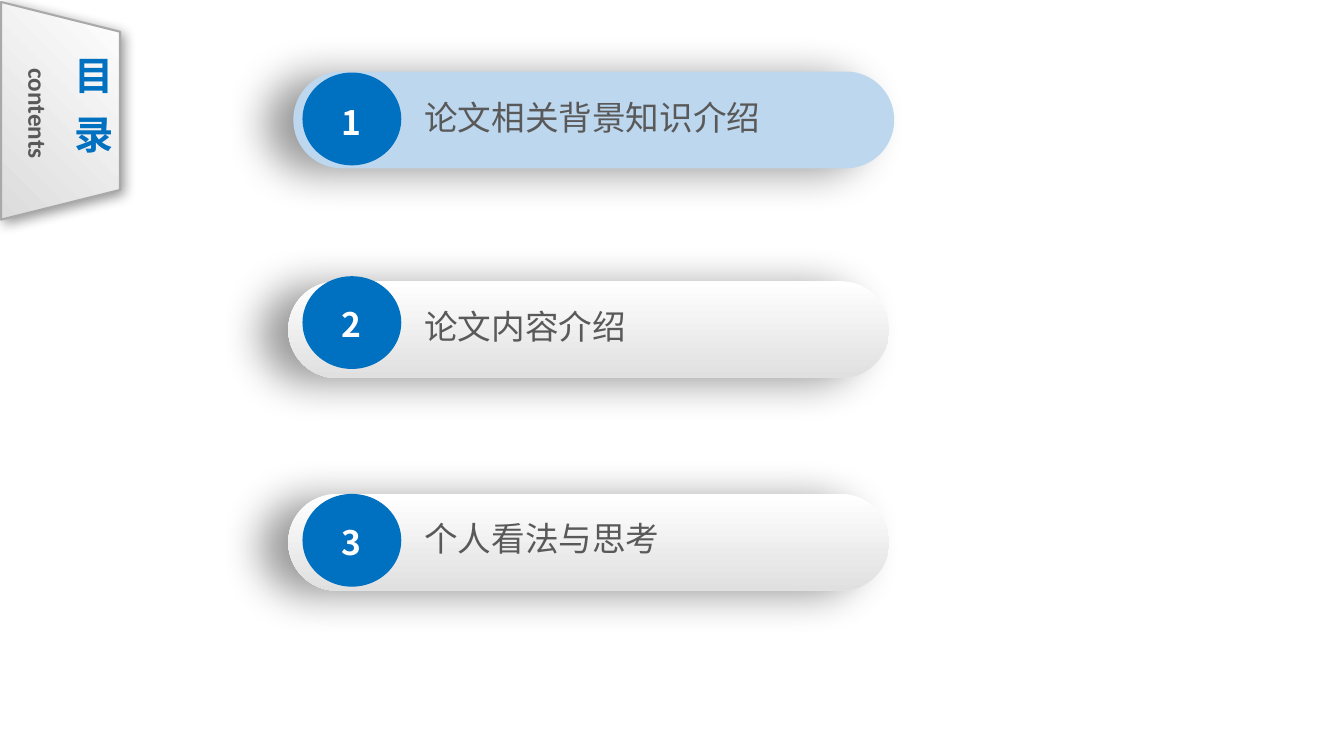
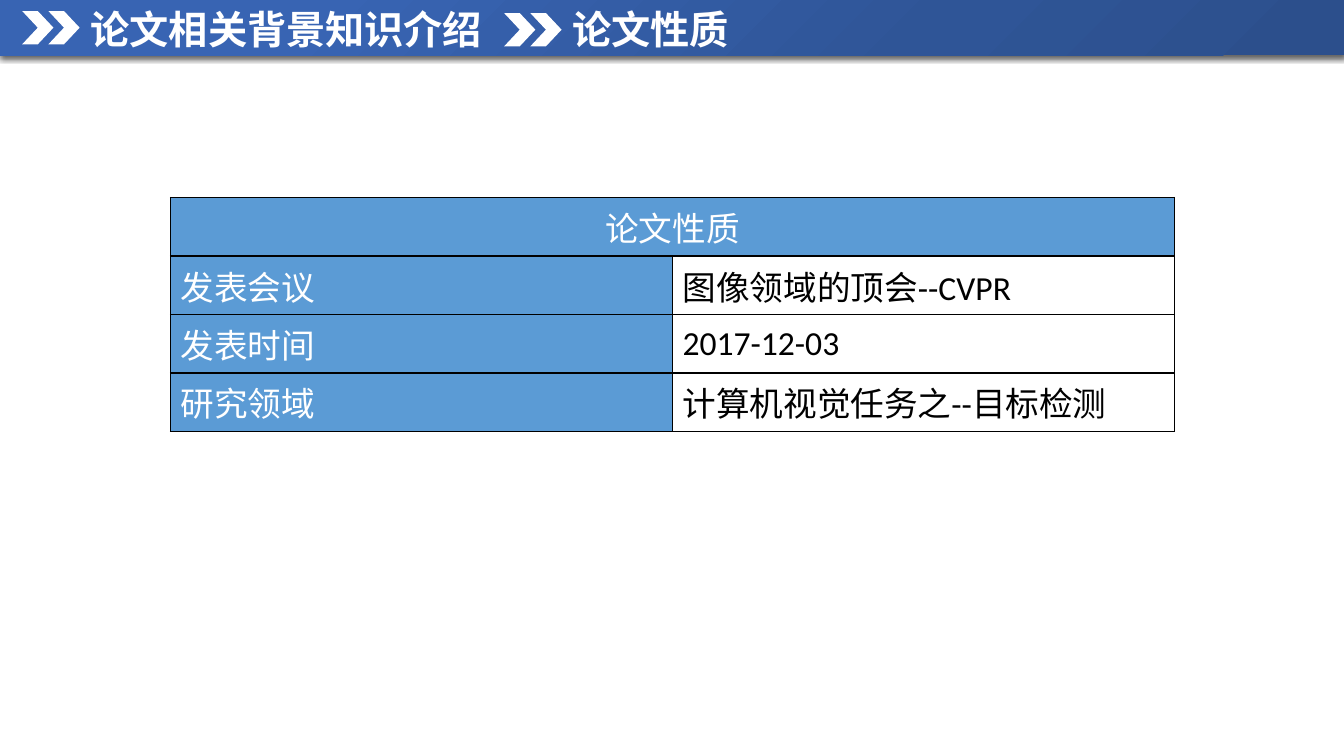
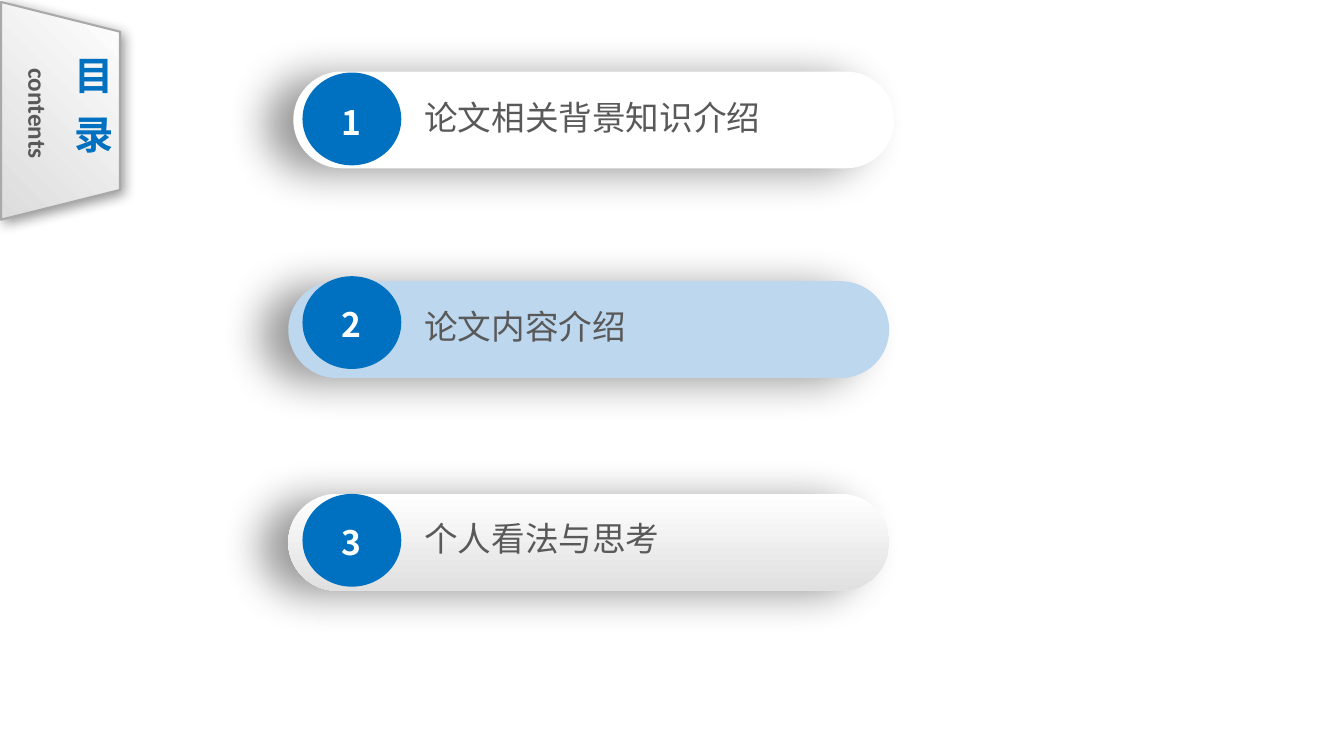
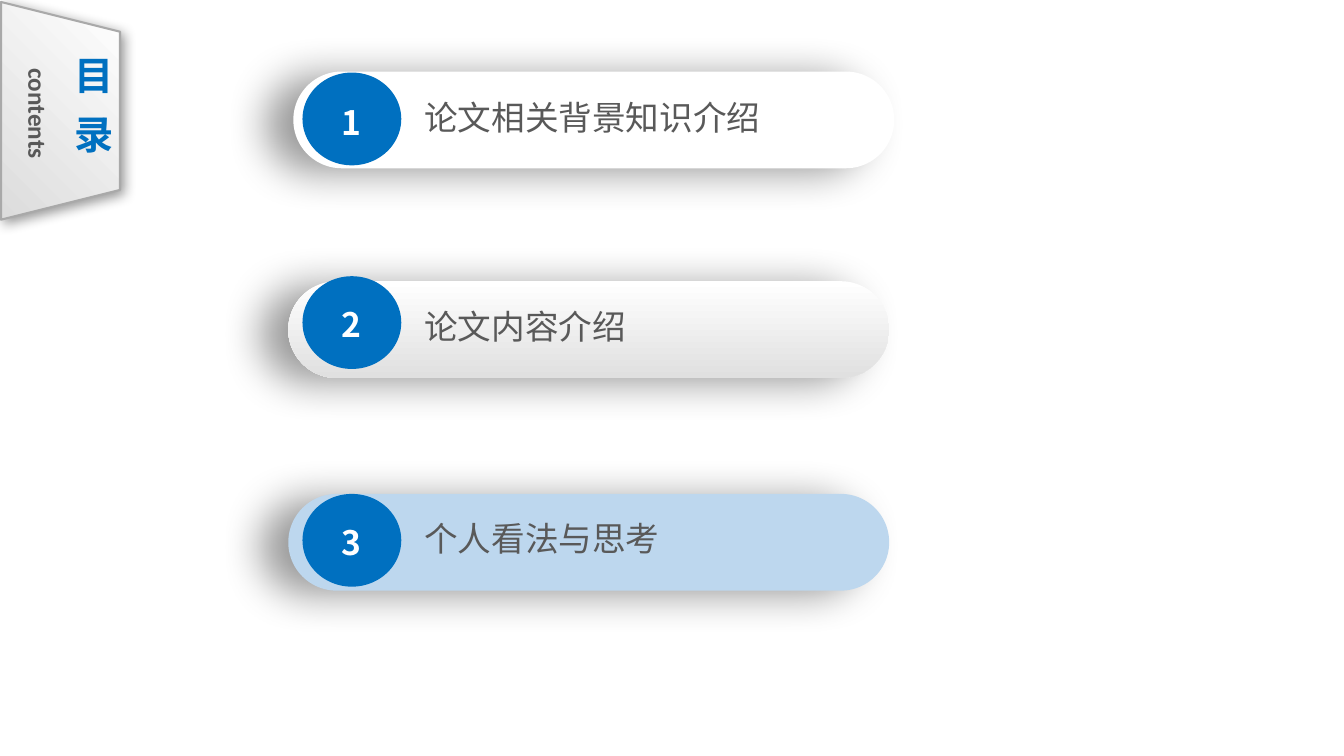
from dataclasses import dataclass

from lxml import etree
from pptx import Presentation
from pptx.dml.color import RGBColor
from pptx.enum.shapes import MSO_SHAPE
from pptx.enum.text import MSO_ANCHOR, MSO_AUTO_SIZE, PP_ALIGN
from pptx.oxml.ns import qn
from pptx.util import Inches, Pt

RECTANGLE, OVAL = MSO_SHAPE.RECTANGLE, MSO_SHAPE.OVAL
ROUNDED, TRAPEZOID = MSO_SHAPE.ROUNDED_RECTANGLE, MSO_SHAPE.TRAPEZOID
CHEVRON = MSO_SHAPE.CHEVRON
LEFT, CENTER = PP_ALIGN.LEFT, PP_ALIGN.CENTER
TOP, MIDDLE = MSO_ANCHOR.TOP, MSO_ANCHOR.MIDDLE
FIT_SHAPE = MSO_AUTO_SIZE.SHAPE_TO_FIT_TEXT

SLIDE_WIDTH, SLIDE_HEIGHT = 13.33, 7.5

TOPICS = [
    {"label": "论文相关背景知识介绍", "bar": (2.91, 0.71), "disc": 0.72,
     "number": 0.96, "text": 0.91, "idle": "white"},
    {"label": "论文内容介绍", "bar": (2.86, 2.79), "disc": 2.74,
     "number": 2.97, "text": 2.99, "idle": "gradient"},
    {"label": "个人看法与思考", "bar": (2.86, 4.9), "disc": 4.9,
     "number": 5.13, "text": 5.09, "idle": "gradient"},
]
BREADCRUMBS = [("论文相关背景知识介绍", 0.22, 0.11), ("论文性质", 5, 0.13)]
PAPER_TITLE = "论文性质"
PAPER_FACTS = [
    ("发表会议", "图像领域的顶会--CVPR"),
    ("发表时间", "2017-12-03"),
    ("研究领域", "计算机视觉任务之--目标检测"),
]


@dataclass(frozen=True)
class Theme:
    white: str = "FFFFFF"
    black: str = "000000"
    gray: str = "595959"
    edge: str = "A9A9A9"
    blue: str = "0070C0"
    active: str = "BDD7EE"
    table: str = "5B9BD5"
    tab_stops: tuple = ((0, "FFFFFF"), (100, "DCDCDC"))
    bar_stops: tuple = ((0, "FFFFFF"), (100, "E0E0E0"))
    band_stops: tuple = ((23, "3864B3"), (69, "2F5597"), (97, "2C4F8C"))
    tab_shadow: tuple = (40, 9, 3, 45)
    bar_shadow: tuple = (40, 30, 20, 171)
    band_shadow: tuple = (63, 4.5, 1.5, 90)
    latin: str = "Calibri"
    chinese: str = "Noto Sans CJK SC"
    title: int = 28
    body: int = 24
    caption: int = 18


THEME = Theme()


def add_element(parent, tag, **attributes):
    values = {name: str(value) for name, value in attributes.items()}
    return etree.SubElement(parent, qn(tag), values)


def set_gradient(shape, stops, angle=None):
    shape.fill.background()
    properties = shape.element.spPr
    gradient = etree.Element(qn("a:gradFill"), rotWithShape="1")
    stop_list = add_element(gradient, "a:gsLst")
    for position, color in stops:
        stop = add_element(stop_list, "a:gs", pos=position * 1000)
        add_element(stop, "a:srgbClr", val=color)
    if angle is None:
        circle = add_element(gradient, "a:path", path="circle")
        add_element(circle, "a:fillToRect", r=100000, b=100000)
    else:
        add_element(gradient, "a:lin", ang=angle * 60000, scaled=0)
    properties.replace(properties.find(qn("a:noFill")), gradient)


def set_shadow(shape, opacity, blur, distance, direction):
    effects = shape.element.spPr.find(qn("a:effectLst"))
    outer = add_element(effects, "a:outerShdw", blurRad=Pt(blur), dist=Pt(distance),
                        dir=direction * 60000, algn="ctr", rotWithShape=0)
    color = add_element(outer, "a:srgbClr", val=THEME.black)
    add_element(color, "a:alpha", val=opacity * 1000)


def add_shape(slide, kind, box, color=None):
    shape = slide.shapes.add_shape(kind, *map(Inches, box))
    shape.shadow.inherit = False
    shape.line.fill.background()
    if color:
        shape.fill.solid()
        shape.fill.fore_color.rgb = RGBColor.from_string(color)
    return shape


def add_run(paragraph, text, size, color, font=THEME.chinese, bold=False, spacing=0):
    run = paragraph.add_run()
    run.text = text
    run.font.size = Pt(size)
    run.font.bold = bold
    run.font.color.rgb = RGBColor.from_string(color)
    run.font.name = font
    properties = run.font._element
    add_element(properties, "a:ea", typeface=THEME.chinese)
    if spacing:
        properties.set("spc", str(spacing * 100))


def add_text_box(slide, box, align=LEFT, vertical=False):
    frame = slide.shapes.add_textbox(*map(Inches, box)).text_frame
    frame.word_wrap = True
    frame.auto_size = FIT_SHAPE
    if vertical:
        frame._txBody.bodyPr.set("vert", "eaVert")
    paragraph = frame.paragraphs[0]
    paragraph.alignment = align
    return paragraph


def add_contents_tab(slide):
    tab = add_shape(slide, TRAPEZOID, (-0.48, 0.51, 2.16, 1.18))
    tab.rotation = 90
    set_gradient(tab, THEME.tab_stops, 45)
    tab.line.color.rgb = RGBColor.from_string(THEME.edge)
    tab.line.width = Pt(1.5)
    set_shadow(tab, *THEME.tab_shadow)
    heading = add_text_box(slide, (0.53, 0.46, 0.67, 1.27), CENTER, vertical=True)
    add_run(heading, "目", THEME.title, THEME.blue, bold=True, spacing=14)
    add_run(heading, "录", THEME.title, THEME.blue, bold=True)
    caption = add_text_box(slide, (0.08, 0.58, 0.5, 1.15), CENTER, vertical=True)
    add_run(caption, "contents", THEME.caption, THEME.gray, THEME.latin, bold=True)


def add_topic(slide, number, topic, active):
    bar = add_shape(slide, ROUNDED, (*topic["bar"], 5.96, 0.96),
                    THEME.active if active else THEME.white)
    bar.adjustments[0] = 0.5
    bar.element.spPr.find(qn("a:xfrm")).set("flipH", "1")
    if not active and topic["idle"] == "gradient":
        set_gradient(bar, THEME.bar_stops, 90)
    set_shadow(bar, *THEME.bar_shadow)
    add_shape(slide, OVAL, (3, topic["disc"], 0.98, 0.92), THEME.blue)
    digit = add_text_box(slide, (3.29, topic["number"], 0.4, 0.5), CENTER)
    add_run(digit, str(number), THEME.body, THEME.white, bold=True)
    label = add_text_box(slide, (4.11, topic["text"], 4.76, 0.5))
    add_run(label, topic["label"], THEME.body, THEME.gray)


def build_contents(slide, active_number):
    add_contents_tab(slide)
    for number, topic in enumerate(TOPICS, 1):
        add_topic(slide, number, topic, number == active_number)


def add_header(slide):
    band = add_shape(slide, RECTANGLE, (0, 0, SLIDE_WIDTH, 0.55))
    set_gradient(band, THEME.band_stops)
    set_shadow(band, *THEME.band_shadow)
    for title, left, top in BREADCRUMBS:
        for offset in (0, 0.26):
            add_shape(slide, CHEVRON, (left + offset, top, 0.31, 0.33), THEME.white)
        paragraph = add_text_box(slide, (left + 0.58, 0, 6.31, 0.57))
        add_run(paragraph, title, THEME.title, THEME.white, bold=True)


def style_cell(cell, text, header, align=LEFT, anchor=MIDDLE):
    cell.fill.solid()
    cell.fill.fore_color.rgb = RGBColor.from_string(THEME.table if header else THEME.white)
    cell.vertical_anchor = anchor
    paragraph = cell.text_frame.paragraphs[0]
    paragraph.alignment = align
    if text:
        add_run(paragraph, text, THEME.body, THEME.white if header else THEME.black, THEME.latin)
    properties = cell._tc.get_or_add_tcPr()
    for index, side in enumerate(("a:lnL", "a:lnR", "a:lnT", "a:lnB")):
        border = etree.Element(qn(side), w=str(Pt(1)))
        fill = add_element(border, "a:solidFill")
        add_element(fill, "a:srgbClr", val=THEME.black)
        properties.insert(index, border)


def build_paper_facts(slide):
    add_header(slide)
    rows = [(PAPER_TITLE, ""), *PAPER_FACTS]
    column_width, row_height = 4.98, 0.58
    box = (1.69, 1.96, 2 * column_width, len(rows) * row_height)
    table = slide.shapes.add_table(len(rows), 2, *map(Inches, box)).table
    table.first_row = table.horz_banding = False
    for row_index, row in enumerate(rows):
        title_row = row_index == 0
        for column_index, text in enumerate(row):
            style_cell(table.cell(row_index, column_index), text,
                       title_row or column_index == 0,
                       CENTER if title_row else LEFT, TOP if title_row else MIDDLE)
    table.cell(0, 0).merge(table.cell(0, 1))


def main():
    presentation = Presentation()
    presentation.slide_width = Inches(SLIDE_WIDTH)
    presentation.slide_height = Inches(SLIDE_HEIGHT)
    blank = presentation.slide_layouts[6]
    build_contents(presentation.slides.add_slide(blank), 1)
    build_paper_facts(presentation.slides.add_slide(blank))
    for active_number in (2, 3):
        build_contents(presentation.slides.add_slide(blank), active_number)
    presentation.save("out.pptx")


if __name__ == "__main__":
    main()
